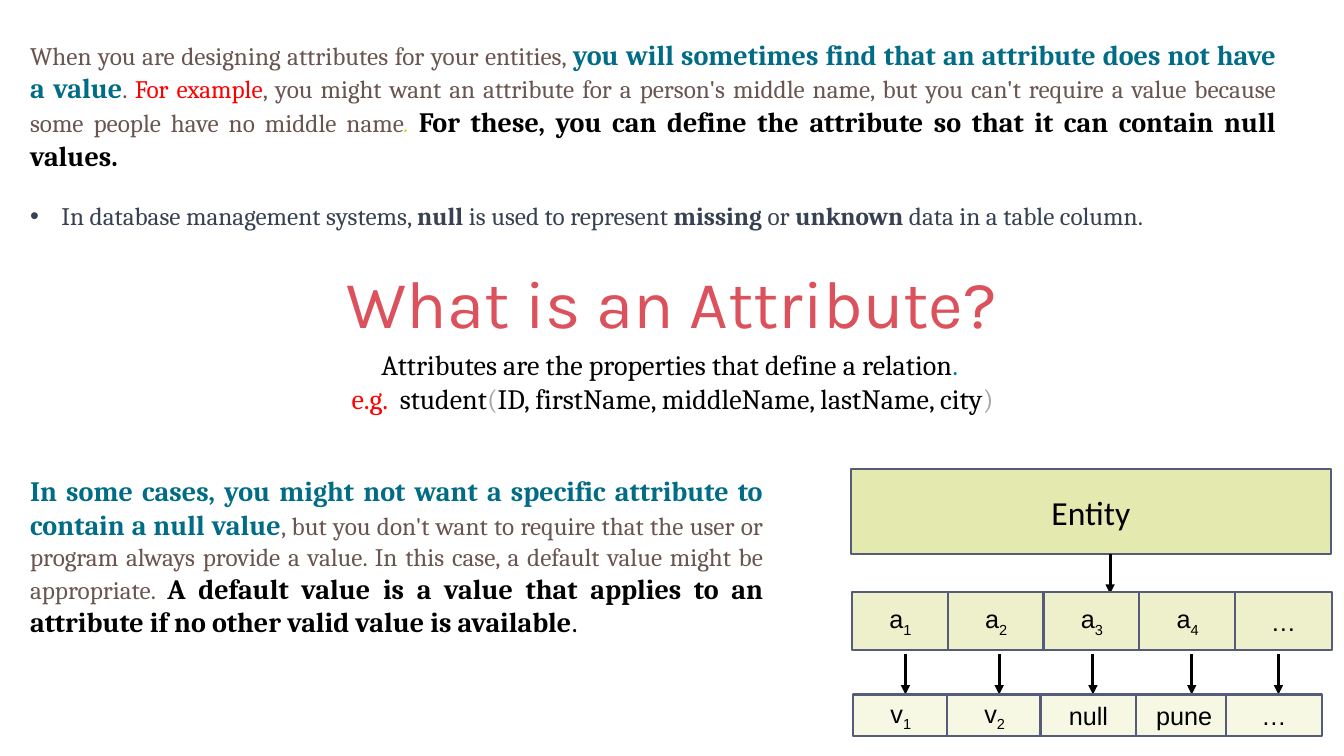
import pptx
import pptx.util
import pptx.dml.color
import pptx.enum.shapes
import pptx.enum.text
import pptx.oxml.ns
from lxml import etree

Inches = pptx.util.Inches
Pt = pptx.util.Pt
ALIGN = pptx.enum.text.PP_ALIGN
ANCHOR = pptx.enum.text.MSO_ANCHOR
FIT = pptx.enum.text.MSO_AUTO_SIZE
qn = pptx.oxml.ns.qn

COLORS = {
    "title": "DC525C", "brown": "6A5650", "teal": "006C86", "red": "FF0000",
    "lime": "D9DD21", "black": "000000", "cyan": "0089A4", "gray": "A6A6A6",
    "slate": "374151", "border": "545C79",
    "entity": "E4E9AF", "attribute": "EDF0CA", "value": "F6F8E4",
}
BOLD = {"bold": True}
ITALIC = {"italic": True}


def rgb(name):
    return pptx.dml.color.RGBColor.from_string(COLORS[name])


def apply(target, formats):
    for name, value in formats.items():
        setattr(target, name, value)


def place(shape, box):
    names = ("left", "top", "width", "height")
    apply(shape, {name: Inches(length) for name, length in zip(names, box)})


def add_span(para, text, font, size, color, formats={}):
    span = para.add_run()
    span.text = text
    apply(span.font, {"name": font, "size": Pt(size), "bold": False, **formats})
    span.font.color.rgb = rgb(color)
    return span


def add_title(page, box, text):
    title = page.shapes.title
    place(title, box)
    apply(title.text_frame, {"word_wrap": True, "auto_size": FIT.NONE,
                             "vertical_anchor": ANCHOR.MIDDLE})
    para = title.text_frame.paragraphs[0]
    para.alignment = ALIGN.CENTER
    add_span(para, text, "Karla", 48, "title")


def add_bullet(page, box, spans):
    body = page.placeholders[1]
    place(body, box)
    apply(body.text_frame, {"word_wrap": True, "auto_size": FIT.NONE,
                            "vertical_anchor": ANCHOR.TOP})
    para = body.text_frame.paragraphs[0]
    properties = para._p.get_or_add_pPr()
    properties.set("marL", str(Inches(0.31)))
    properties.set("indent", str(-Inches(0.31)))
    apply(para, {"alignment": ALIGN.LEFT, "space_before": Pt(0)})
    etree.SubElement(properties, qn("a:buFont")).set("typeface", "Arial")
    etree.SubElement(properties, qn("a:buChar")).set("char", "•")
    for text, formats in spans:
        add_span(para, text, "Cambria", 18, "slate", formats)


def add_text(page, box, alignment, lines):
    frame = page.shapes.add_textbox(*map(Inches, box)).text_frame
    apply(frame, {"word_wrap": True, "auto_size": FIT.SHAPE_TO_FIT_TEXT})
    for index, spans in enumerate(lines):
        para = frame.add_paragraph() if index else frame.paragraphs[0]
        para.alignment = alignment
        for text, *look in spans:
            add_span(para, text, "Cambria", *look)


def add_cell(group, box, fill, text, subscript="", font="Arial", size=18):
    cell = group.shapes.add_shape(
        pptx.enum.shapes.MSO_SHAPE.RECTANGLE, *map(Inches, box))
    cell.shadow.inherit = False
    cell.fill.solid()
    cell.fill.fore_color.rgb = rgb(fill)
    cell.line.color.rgb = rgb("border")
    cell.line.width = Pt(1.5)
    apply(cell.text_frame, {"word_wrap": True, "vertical_anchor": ANCHOR.MIDDLE})
    para = cell.text_frame.paragraphs[0]
    para.alignment = ALIGN.CENTER
    add_span(para, text, font, size, "black")
    if subscript:
        span = add_span(para, subscript, font, size, "black")
        span._r.get_or_add_rPr().set("baseline", "-25000")


def add_arrow(group, x, top, bottom):
    arrow = group.shapes.add_connector(
        pptx.enum.shapes.MSO_CONNECTOR.STRAIGHT,
        Inches(x), Inches(top), Inches(x), Inches(bottom))
    arrow.line.color.rgb = rgb("black")
    arrow.line.width = Pt(2.25)
    etree.SubElement(arrow.line._get_or_add_ln(), qn("a:tailEnd")).set("type", "triangle")
    etree.SubElement(arrow._element.spPr, qn("a:effectLst"))


def add_entity_diagram(page, box):
    left, top, width, height = box
    group = page.shapes.add_group_shape()
    add_cell(group, (left, top, width, 0.85), "entity", "Entity", font="Calibri", size=24)
    add_arrow(group, left + 2.57, top + 0.85, top + 1.24)

    attributes = [("a", "1"), ("a", "2"), ("a", "3"), ("a", "4"), ("…", "")]
    for index, (text, subscript) in enumerate(attributes):
        cell = (left + 0.01 + 0.95 * index, top + 1.22, 0.96, 0.58)
        add_cell(group, cell, "attribute", text, subscript)

    value_top = top + height - 0.41
    values = [
        ("v", "1", 0.02, 0.54), ("v", "2", 0.95, 1.47), ("null", "", 1.88, 2.4),
        ("pune", "", 2.83, 3.38), ("…", "", 3.72, 4.24),
    ]
    for text, subscript, cell_x, arrow_x in values:
        add_arrow(group, left + arrow_x, value_top - 0.4, value_top)
        add_cell(group, (left + cell_x, value_top, 0.95, 0.41), "value", text, subscript)


def main():
    deck = pptx.Presentation()
    apply(deck, {"slide_width": Inches(13.33), "slide_height": Inches(7.5)})
    page = deck.slides.add_slide(deck.slide_layouts[1])

    add_title(page, (1.83, 2.49, 9.67, 1), "What is an Attribute?")
    add_text(page, (0.2, 0.32, 12.56, 1.45), ALIGN.JUSTIFY, [[
        ("When you are designing attributes for your entities, ", 18, "brown"),
        ("you will sometimes find that an attribute does not have a value", 20, "teal", BOLD),
        (". ", 18, "brown"),
        ("For example", 18, "red"),
        (", you might want an attribute for a person's middle name, but you can't "
         "require a value because some people have no middle name", 18, "brown"),
        (". ", 18, "lime", ITALIC),
        ("For these, you can define the attribute so that it can contain null values.",
         20, "black", BOLD),
    ]])
    add_bullet(page, (0.2, 1.94, 12.56, 0.4), [
        ("In database management systems, ", {}), ("null", BOLD),
        (" is used to represent ", {}), ("missing", BOLD), (" or ", {}),
        ("unknown", BOLD), (" data in a table column.", {}),
    ])
    add_text(page, (2.85, 3.4, 7.64, 0.77), ALIGN.CENTER, [
        [("Attributes are the properties that define a relation", 20, "black"),
         (". ", 20, "cyan")],
        [("e.g.  ", 20, "red"), ("student", 20, "black"), ("(", 20, "gray"),
         ("ID, firstName, middleName, lastName, city", 20, "black"), (")", 20, "gray")],
    ])
    add_text(page, (0.2, 4.65, 7.47, 1.75), ALIGN.JUSTIFY, [[
        ("In some cases, you might not want a specific attribute to contain a null value",
         20, "teal", BOLD),
        (", but you don't want to require that the user or program always provide a value. "
         "In this case, a default value might be appropriate. ", 18, "brown"),
        ("A default value is a value that applies to an attribute if no other valid value "
         "is available", 20, "black", BOLD),
        (".", 20, "black"),
    ]])
    add_entity_diagram(page, (8.44, 4.65, 4.76, 2.65))
    deck.save("out.pptx")


if __name__ == "__main__":
    main()
